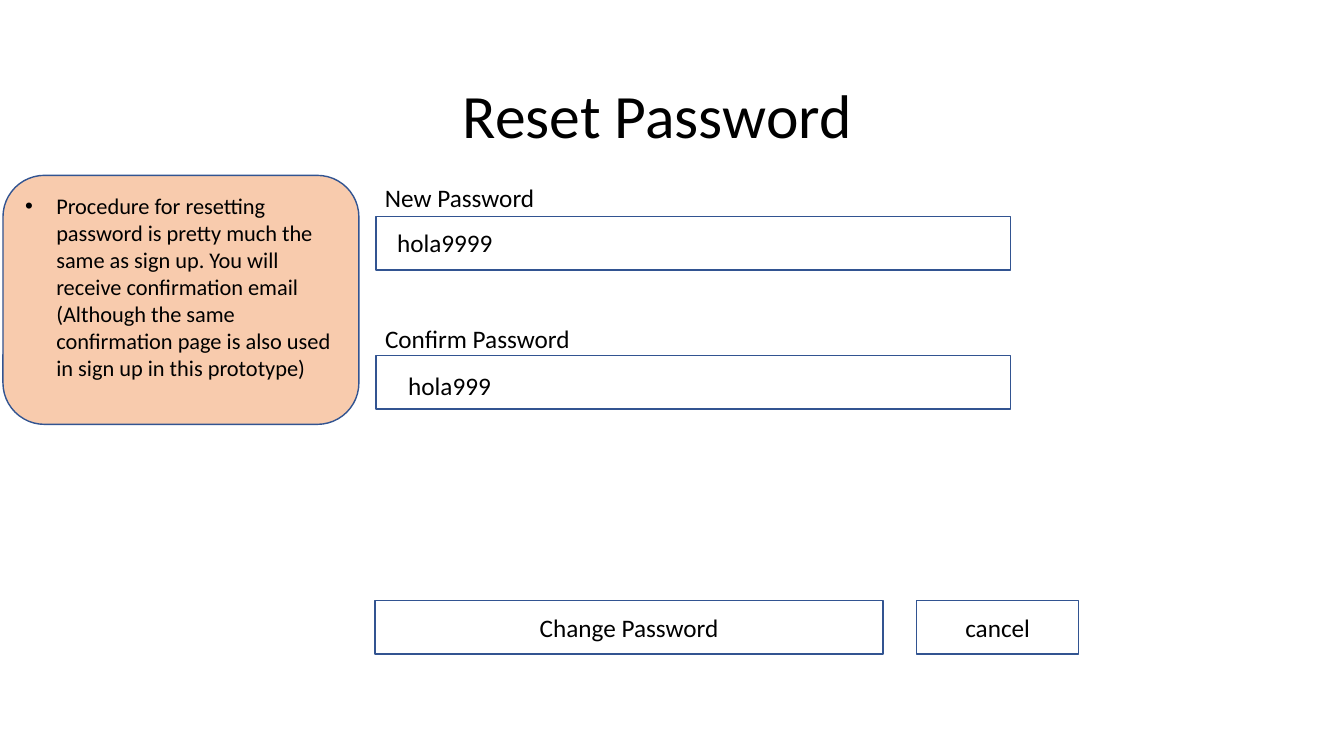
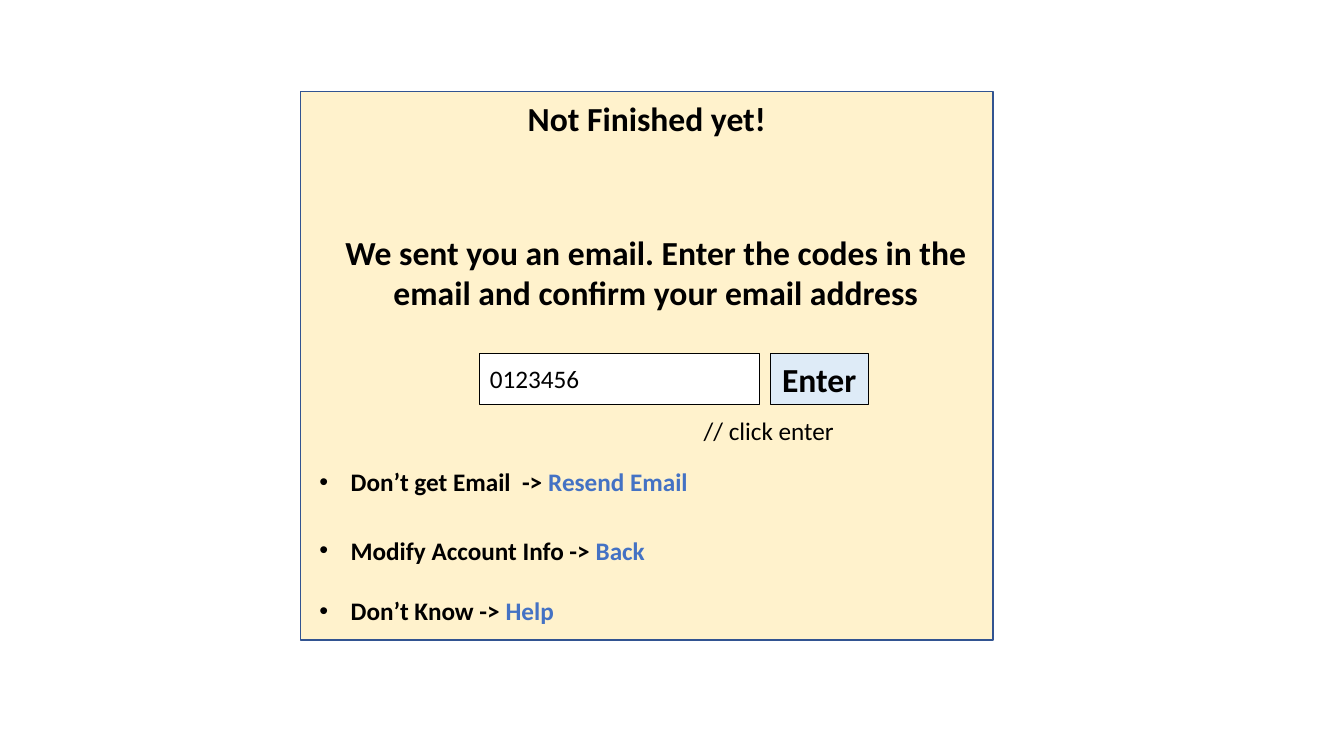
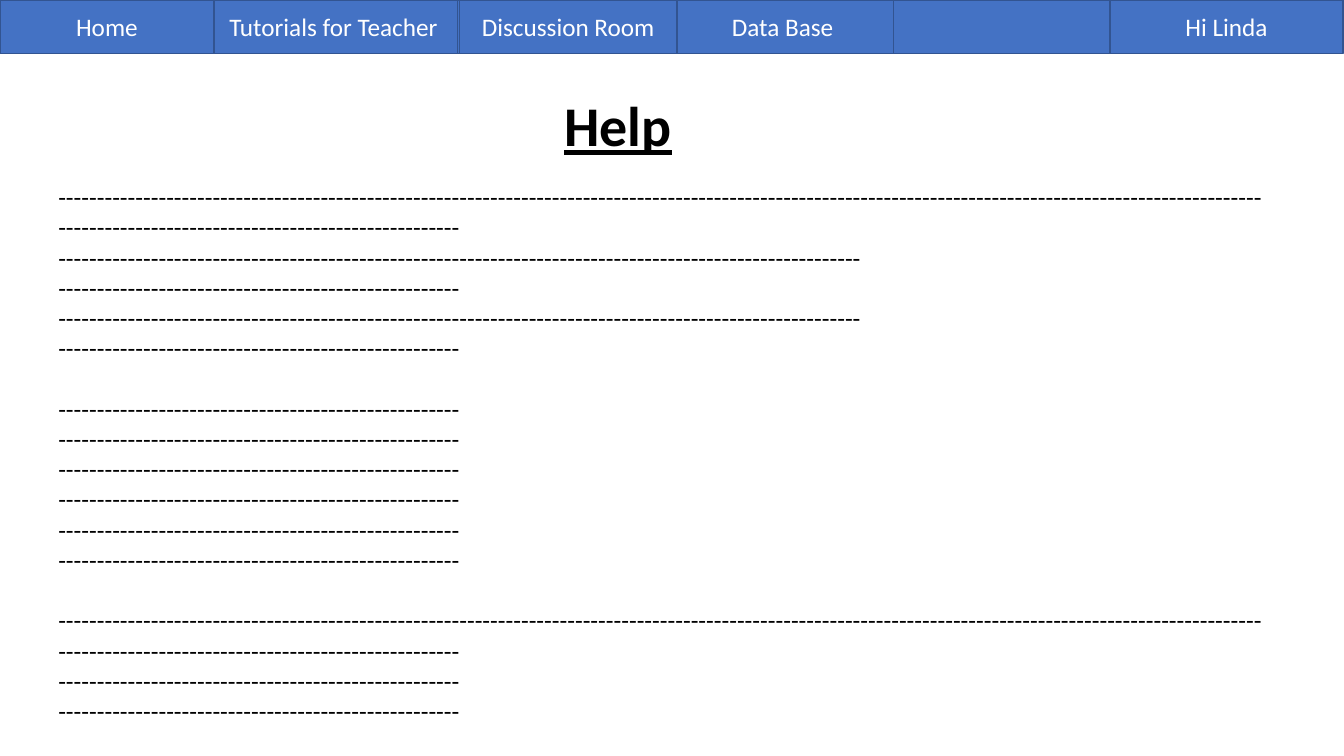
from dataclasses import dataclass

from lxml.etree import SubElement as Sub
from pptx import Presentation
from pptx.dml.color import RGBColor as RGB
from pptx.enum.shapes import MSO_SHAPE as Form
from pptx.enum.text import MSO_ANCHOR as Anchor
from pptx.enum.text import MSO_AUTO_SIZE as Auto
from pptx.enum.text import PP_ALIGN as Align
from pptx.oxml.ns import qn
from pptx.util import Inches, Pt


@dataclass(frozen=True)
class Theme:
    face: str = "Calibri"
    ink: str = "000000"
    white: str = "FFFFFF"
    blue: str = "4472C4"
    edge: str = "325491"
    peach: str = "F8CBAD"
    cream: str = "FFF2CC"
    pale: str = "DEEBF7"
    title: int = 44
    head: int = 40
    lead: int = 24
    body: int = 18
    note: int = 16
    row: float = 0.53
    line: float = 21.6
    indent: float = 0.31


T = Theme()


def apply(item, vals):
    for name, val in vals.items():
        setattr(item, name, val)


def place(box):
    return [Inches(n) for n in box]


def bullet(para):
    props = para._p.get_or_add_pPr()
    props.set("marL", str(Inches(T.indent)))
    props.set("indent", str(-Inches(T.indent)))
    Sub(props, qn("a:buFont")).set("typeface", "Arial")
    Sub(props, qn("a:buChar")).set("char", "•")


def add_run(para, words, ink, size, style):
    run = para.add_run()
    run.text = words
    apply(run.font, {"name": T.face, "size": Pt(size), **style})
    run.font.color.rgb = RGB.from_string(ink)


def write(shape, *runs, size=T.body, ink=T.ink, align=Align.LEFT,
          anchor=Anchor.TOP, wrap=True, mark=False, **style):
    frame = shape.text_frame
    apply(frame, {
        "word_wrap": wrap,
        "vertical_anchor": anchor,
        "auto_size": Auto.NONE if wrap else Auto.SHAPE_TO_FIT_TEXT,
    })
    para = frame.paragraphs[0]
    para.alignment = align
    if mark:
        bullet(para)
    for run in runs:
        words, tint = run if isinstance(run, tuple) else (run, ink)
        add_run(para, words, tint, size, style)
    return para


def label(slide, box, *runs, **look):
    return write(slide.shapes.add_textbox(*place(box)), *runs, **look)


def panel(slide, box, fill=None, line=T.edge, width=1, form=Form.RECTANGLE):
    shape = slide.shapes.add_shape(form, *place(box))
    shape.shadow.inherit = False
    if fill:
        shape.fill.solid()
        shape.fill.fore_color.rgb = RGB.from_string(fill)
    else:
        shape.fill.background()
    shape.line.color.rgb = RGB.from_string(line)
    shape.line.width = Pt(width)
    return shape


def button(slide, box, words, fill=None, ink=T.ink):
    write(panel(slide, box, fill), words, ink=ink,
          align=Align.CENTER, anchor=Anchor.MIDDLE)


def reset(slide):
    title = label(slide, (0.77, 0.45, 11.5, 1.45), "Reset Password",
                  size=T.title, align=Align.CENTER, anchor=Anchor.MIDDLE)
    title.line_spacing = 0.9
    fields = [
        ("New Password", 1.76, 1.7, 2.15, "hola9999", 3.84, 2.21),
        ("Confirm Password", 3.16, 2.05, 3.53, "hola999", 3.95, 3.62),
    ]
    for name, top, wide, y, value, left, base in fields:
        panel(slide, (3.73, y, 6.29, T.row))
        label(slide, (3.72, top, wide, 0.4), name, wrap=False)
        label(slide, (left, base, 6.05, 0.4), value)
    note = panel(slide, (0.03, 1.74, 3.53, 2.47), T.peach,
                 form=Form.ROUNDED_RECTANGLE)
    write(note, "Procedure for resetting password is pretty much the same as "
          "sign up. You will receive confirmation email (Although the same "
          "confirmation page is also used in sign up in this prototype)",
          size=T.note, mark=True)
    button(slide, (3.72, 5.96, 5.04, T.row), "Change Password")
    button(slide, (9.09, 5.96, 1.61, T.row), "cancel", T.white)


def confirm(slide):
    lead = {"size": T.lead, "bold": True, "align": Align.CENTER}
    panel(slide, (2.98, 0.91, 6.87, 5.44), T.cream)
    label(slide, (4.44, 0.92, 3.95, 0.5), "Not Finished yet!", **lead)
    label(slide, (3.07, 2.25, 6.87, 0.91),
          "We sent you an email. Enter the codes in the email and confirm "
          "your email address", **lead)
    enter = panel(slide, (7.64, 3.51, 0.97, 0.5), T.pale, T.ink, 0.75)
    write(enter, "Enter", **lead)
    panel(slide, (4.76, 3.51, 2.77, 0.5), T.white, T.ink, 0.75)
    label(slide, (4.76, 3.56, 2.77, 0.4), "0123456")
    label(slide, (6.88, 4.07, 1.51, 0.4), "// click enter", wrap=False)
    hints = [
        (4.58, "Don’t get Email  -> ", "Resend Email"),
        (5.26, "Modify Account Info -> ", "Back"),
        (5.86, "Don’t Know -> ", "Help"),
    ]
    for top, words, link in hints:
        label(slide, (3.07, top, 3.93, 0.4), words, (link, T.blue),
              mark=True, bold=True)


def guide(slide):
    label(slide, (5.5, 0.85, 1.28, 0.77), "Help", size=T.head, wrap=False,
          bold=True, underline=True)
    blocks = [(3, 1, 2, 1, 2, 1), (1,) * 6, (3, 1, 1, 1)]
    frame = slide.shapes.add_textbox(*place((0.48, 1.75, 12.6, 5.86))).text_frame
    frame.word_wrap = True
    para = frame.paragraphs[0]
    for b, block in enumerate(blocks):
        for i, count in enumerate(block):
            if b or i:
                para = frame.add_paragraph()
            if b and not i:
                para.space_before = Pt(T.line)
            add_run(para, "-" * 52 * count, T.ink, T.body, {})
    panel(slide, (-0.01, 0, 11.02, T.row), T.blue)
    tabs = [
        (0, 2.12, "Home"),
        (2.13, 2.41, "Tutorials for Teacher "),
        (4.56, 2.15, "Discussion Room"),
        (6.72, 2.14, "Data Base "),
        (11.01, 2.31, "Hi Linda"),
    ]
    for left, wide, words in tabs:
        button(slide, (left, 0, wide, T.row), words, T.blue, T.white)


def main():
    deck = Presentation()
    apply(deck, {"slide_width": Inches(13.33), "slide_height": Inches(7.5)})
    for build in (reset, confirm, guide):
        build(deck.slides.add_slide(deck.slide_layouts[6]))
    deck.save("out.pptx")


if __name__ == "__main__":
    main()
